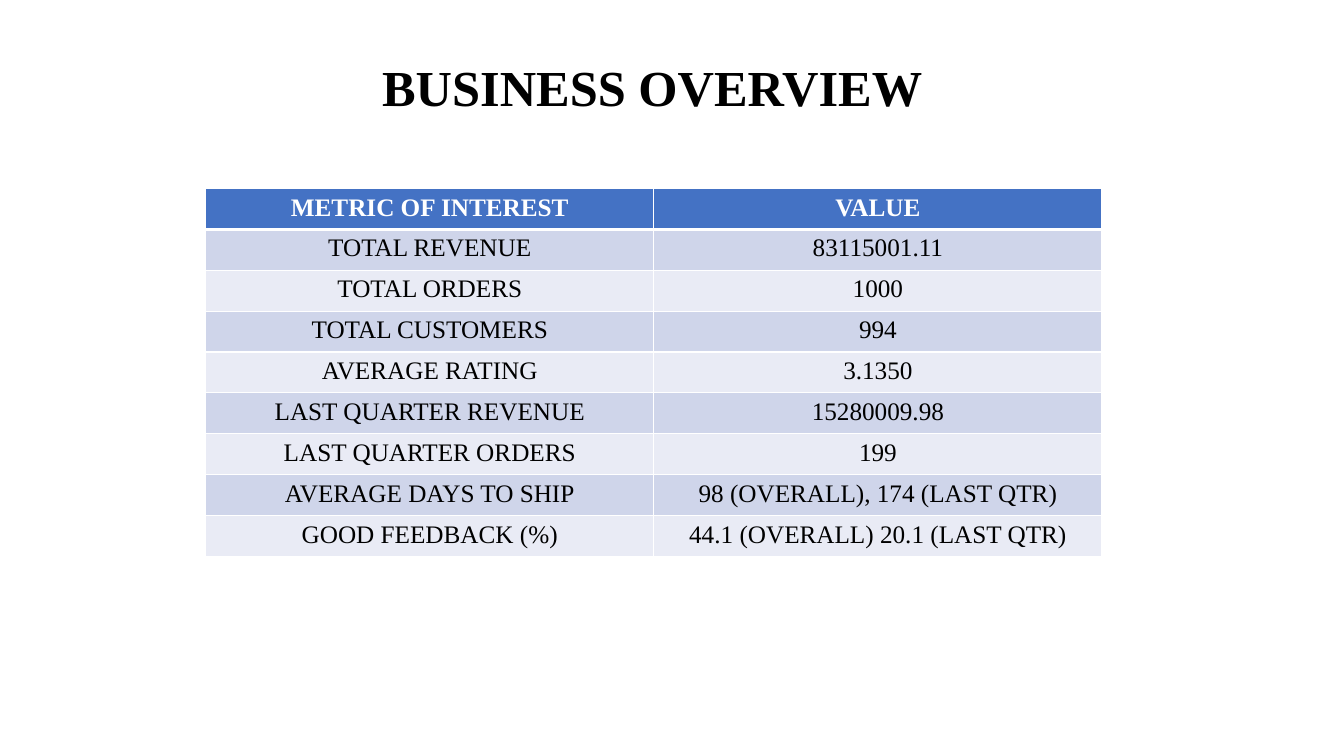
from lxml.etree import SubElement as Sub
from pptx import Presentation
from pptx.dml.color import RGBColor as RGB
from pptx.enum.text import MSO_AUTO_SIZE as Fit, PP_ALIGN as Align
from pptx.oxml.ns import qn
from pptx.util import Inches, Pt


def ink(code):
    return RGB.from_string(code)


class Page:
    """Holds the style and the current slide, and adds its elements."""

    face = "Times New Roman"
    head = "4472C4"
    bands = ("CFD5EA", "E9EBF5")
    dark, light = "000000", "FFFFFF"

    def __init__(self, deck):
        self.slide = deck.slides.add_slide(deck.slide_layouts[6])

    def label(self, frame, text, size, color, bold=False):
        para = frame.paragraphs[0]
        para.text = text
        para.alignment = Align.CENTER
        font = para.font
        font.name, font.size, font.bold = self.face, Pt(size), bold
        font.color.rgb = ink(color)

    def title(self, text, left, top, width, height):
        box = self.slide.shapes.add_textbox(
            Inches(left), Inches(top), Inches(width), Inches(height))
        frame = box.text_frame
        frame.word_wrap = True
        frame.auto_size = Fit.SHAPE_TO_FIT_TEXT
        self.label(frame, text, 36, self.dark, True)

    def border(self, cell, side, width):
        props = cell._tc.get_or_add_tcPr()
        line = Sub(props, qn(f"a:ln{side}"), w=str(Pt(width)))
        Sub(Sub(line, qn("a:solidFill")), qn("a:srgbClr"), val=self.light)

    def table(self, rows, left, top, width, height):
        grid = self.slide.shapes.add_table(
            len(rows), len(rows[0]), Inches(left), Inches(top),
            Inches(width), Inches(height)).table
        for r, row in enumerate(rows):
            first = r == 0
            fill = self.head if first else self.bands[(r - 1) % 2]
            edges = {"L": 1, "R": 1, "T": 3 if r == 1 else 1,
                     "B": 3 if first else 1}
            for c, text in enumerate(row):
                cell = grid.cell(r, c)
                for side, size in edges.items():
                    self.border(cell, side, size)
                cell.fill.solid()
                cell.fill.fore_color.rgb = ink(fill)
                self.label(cell.text_frame, text, 18,
                           self.light if first else self.dark, first)


def main():
    deck = Presentation()
    deck.slide_width, deck.slide_height = Inches(13.33), Inches(7.5)
    page = Page(deck)
    page.title("BUSINESS OVERVIEW", 2.02, 0.51, 8.9, 0.71)
    page.table([
        ("METRIC OF INTEREST", "VALUE"),
        ("TOTAL REVENUE", "83115001.11"),
        ("TOTAL ORDERS", "1000"),
        ("TOTAL CUSTOMERS", "994"),
        ("AVERAGE RATING", "3.1350"),
        ("LAST QUARTER REVENUE", "15280009.98"),
        ("LAST QUARTER ORDERS", "199"),
        ("AVERAGE DAYS TO SHIP", "98 (OVERALL), 174 (LAST QTR)"),
        ("GOOD FEEDBACK (%)", "44.1 (OVERALL) 20.1 (LAST QTR)"),
    ], 2.04, 1.87, 8.89, 3.65)
    deck.save("out.pptx")


if __name__ == "__main__":
    main()
